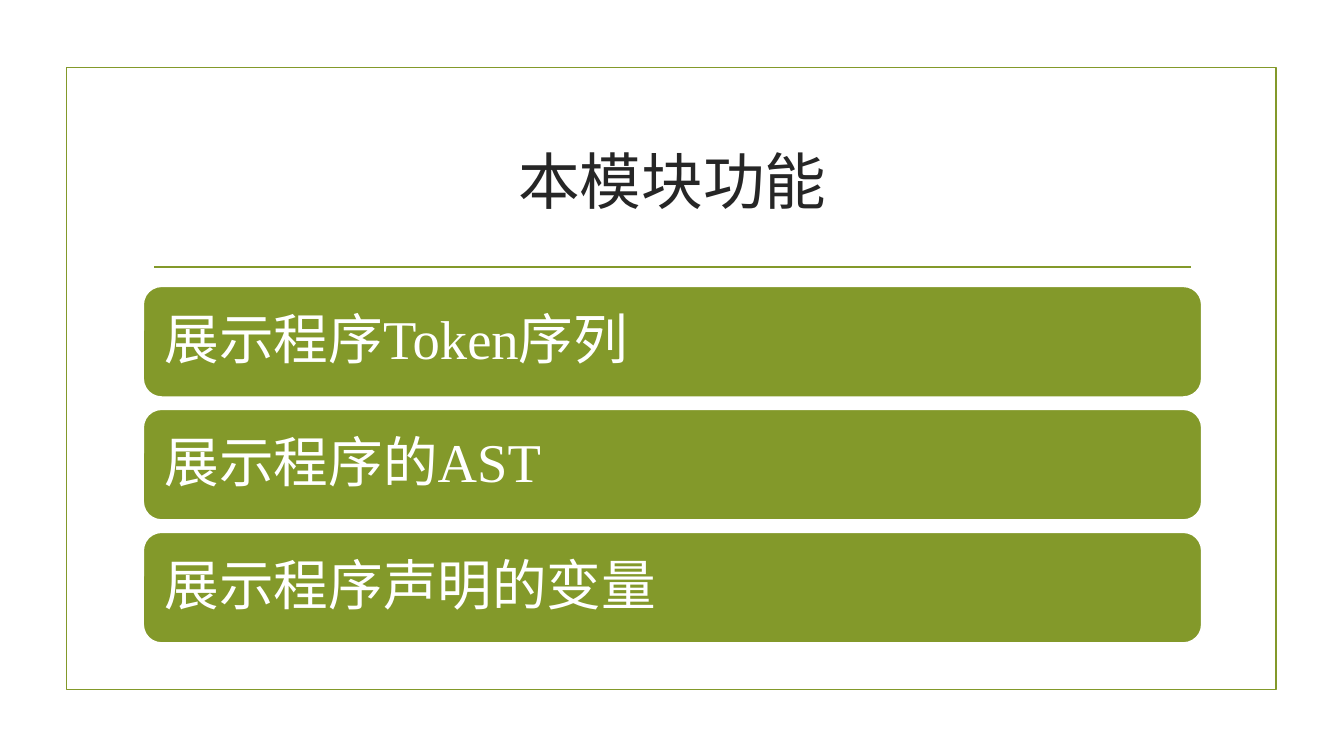
from pptx import Presentation
from pptx.dml.color import RGBColor
from pptx.enum.shapes import MSO_CONNECTOR, MSO_SHAPE
from pptx.enum.text import MSO_ANCHOR, PP_ALIGN
from pptx.oxml.ns import qn
from pptx.util import Inches, Pt

TITLE = "本模块功能"
ITEMS = ["展示程序Token序列", "展示程序的AST", "展示程序声明的变量"]

GREEN = RGBColor(0x83, 0x99, 0x2A)
DARK = RGBColor(0x26, 0x26, 0x26)
WHITE = RGBColor(0xFF, 0xFF, 0xFF)
FONT = "Times New Roman"

LEFT, WIDTH = 1.42, 10.5
TOP, HEIGHT, STEP = 2.84, 1.1, 1.22
INSET = Inches(0.16)


def style(frame, size, color, align):
    frame.word_wrap = True
    frame.vertical_anchor = MSO_ANCHOR.MIDDLE
    para = frame.paragraphs[0]
    para.alignment = align
    font = para.runs[0].font
    font.name, font.size, font.color.rgb = FONT, Pt(size), color
    return para


def outline(shape, color):
    shape.line.color.rgb = color
    shape.line.width = Pt(1.25)


def main():
    deck = Presentation()
    deck.slide_width, deck.slide_height = Inches(13.33), Inches(7.5)
    slide = deck.slides.add_slide(deck.slide_layouts[5])
    shapes = slide.shapes

    frame = shapes.add_shape(MSO_SHAPE.RECTANGLE, Inches(0.66), Inches(0.67),
                             Inches(12), Inches(6.17))
    frame.shadow.inherit = False
    frame.fill.background()
    outline(frame, GREEN)

    rule = shapes.add_connector(MSO_CONNECTOR.STRAIGHT, Inches(1.53), Inches(2.65),
                                Inches(11.81), Inches(2.65))
    outline(rule, GREEN)
    props = rule._element.spPr
    props.append(props.makeelement(qn("a:effectLst"), {}))

    title = shapes.title
    title.left, title.top = Inches(LEFT), Inches(1.07)
    title.width, title.height = Inches(WIDTH), Inches(1.43)
    title.text_frame.text = TITLE
    style(title.text_frame, 44, DARK, PP_ALIGN.CENTER)

    for row, item in enumerate(ITEMS):
        bar = shapes.add_shape(MSO_SHAPE.ROUNDED_RECTANGLE, Inches(LEFT),
                               Inches(TOP + row * STEP), Inches(WIDTH), Inches(HEIGHT))
        bar.shadow.inherit = False
        bar.fill.solid()
        bar.fill.fore_color.rgb = GREEN
        outline(bar, WHITE)
        text = bar.text_frame
        text.text = item
        text.margin_left = text.margin_right = INSET
        text.margin_top = text.margin_bottom = INSET
        style(text, 39, WHITE, PP_ALIGN.LEFT).line_spacing = 0.9

    deck.save("out.pptx")


if __name__ == "__main__":
    main()
